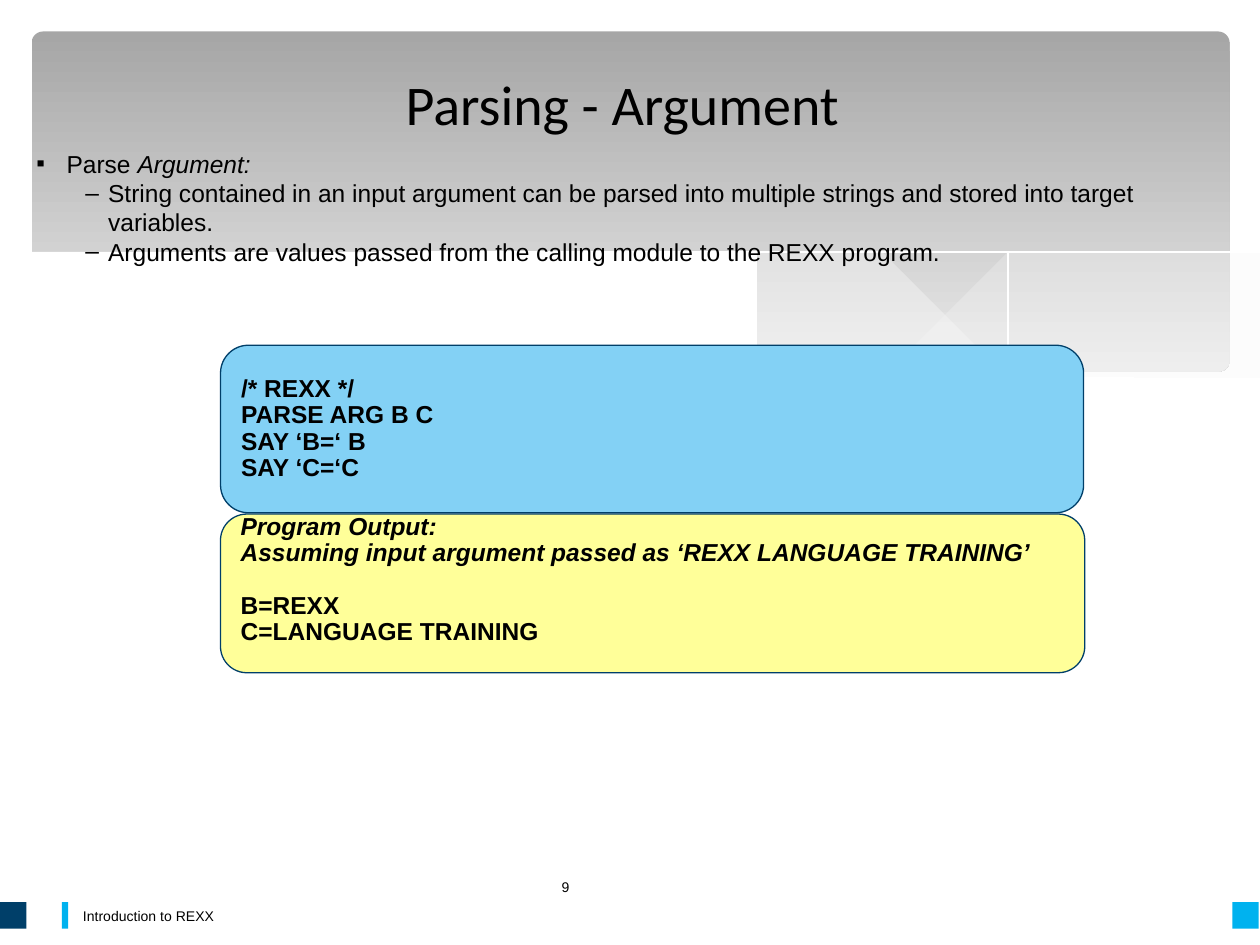
import pptx
import pptx.dml.color
import pptx.enum.shapes
import pptx.enum.text
import pptx.oxml.ns
import pptx.util
from dataclasses import dataclass
from lxml import etree

SHAPE = pptx.enum.shapes.MSO_SHAPE
ANCHOR = pptx.enum.text.MSO_ANCHOR
ALIGN = pptx.enum.text.PP_ALIGN
qn = pptx.oxml.ns.qn


@dataclass(frozen=True)
class Theme:
    ink: str = "000000"
    white: str = "FFFFFF"
    mist: str = "F8F8F8"
    band_top: str = "A6A6A6"
    band_bottom: str = "EBEBEB"
    navy: str = "003F69"
    cyan: str = "00B2EF"
    code: str = "83D1F5"
    output: str = "FFFF99"
    heading: str = "Calibri"
    body: str = "Arial"
    title_size: int = 32
    body_size: int = 14
    small_size: int = 8


THEME = Theme()
WIDTH, HEIGHT = 10, 7.5

TITLE = "Parsing - Argument"
FOOTER = "Introduction to REXX"
PAGE = "9"

# A paragraph is a list of (text, italic) runs.
TOPIC = [("Parse ", False), ("Argument:", True)]
POINTS = [
    [("String contained in an input argument can be parsed into multiple "
      "strings and stored into target variables.", False)],
    [("Arguments are values passed from the calling module to the REXX program.", False)],
]
CODE = [[(line, False)] for line in
        ("/* REXX */", "PARSE ARG B C", "SAY ‘B=‘ B", "SAY ‘C=‘C")]
OUTPUT_INTRO = [[("Program Output:", True)],
                [("Assuming input argument passed as ‘REXX LANGUAGE TRAINING’", True)]]
OUTPUT_LINES = [[("B=REXX", False)], [("C=LANGUAGE TRAINING", False)]]

# Each wave: smooth edges joined by straight sides, then its fill, opacity and line.
RIGHT_SWELL = [
    [(9.76, 2), (9.35, 2.07), (8.91, 2.16), (8.32, 2.3), (7.53, 2.48), (6.61, 2.65)],
    [(6.61, 2.65), (7.05, 2.71), (7.57, 2.76), (8.14, 2.78), (8.72, 2.74),
     (9.21, 2.65), (9.49, 2.57), (9.76, 2.47)],
]
LONG_SWELL = [
    [(8.93, 2.73), (8.37, 2.65), (7.75, 2.54), (7.06, 2.4), (6.29, 2.22), (5.69, 2.08),
     (5.14, 1.98), (4.64, 1.91), (4.2, 1.87), (3.61, 1.85), (3.13, 1.88), (2.86, 1.91)],
    [(2.86, 1.91), (3.42, 1.99), (4.04, 2.11), (4.91, 2.32), (5.66, 2.48), (6.34, 2.61),
     (6.95, 2.7), (7.48, 2.76), (8.07, 2.79), (8.57, 2.77), (8.93, 2.73)],
]
FALLING_LINE = [[(3.09, 1.95), (3.43, 1.9), (3.87, 1.87), (4.33, 1.87), (4.89, 1.9),
                 (5.56, 1.97), (6.36, 2.08), (7.27, 2.26), (8.31, 2.51), (9.07, 2.72)]]
RISING_LINE = [[(6.13, 2.57), (6.52, 2.46), (6.95, 2.35), (7.48, 2.23), (8.06, 2.1),
                (8.66, 1.99), (9.1, 1.92), (9.51, 1.87), (9.75, 1.85)]]
WHITE_FRONT = [
    [(9.77, 2.46), (9.4, 2.59), (8.99, 2.69), (8.5, 2.75), (8.09, 2.77), (7.61, 2.75),
     (7.08, 2.7), (6.47, 2.62), (5.79, 2.5), (5.03, 2.33), (4.18, 2.13), (3.65, 2.02),
     (3.15, 1.94), (2.71, 1.88), (2.3, 1.85), (1.93, 1.84), (1.61, 1.84), (1.19, 1.87),
     (0.85, 1.93), (0.52, 2.01), (0.23, 2.13)],
    [(0.23, 3.29), (9.77, 3.29)],
]
WAVES = [
    (RIGHT_SWELL, THEME.mist, 29, None),
    (LONG_SWELL, THEME.mist, 40, None),
    (FALLING_LINE, None, 100, THEME.white),
    (RISING_LINE, None, 100, THEME.white),
    (WHITE_FRONT, THEME.white, 100, None),
]

MARK_TOP, MARK_SIZE = 7.16, 0.21
MARKS = [(0, MARK_SIZE, THEME.navy), (9.78, MARK_SIZE, THEME.cyan), (0.49, 0.05, THEME.cyan)]


def rgb(value):
    return pptx.dml.color.RGBColor.from_string(value)


def inches(*values):
    return [pptx.util.Inches(value) for value in values]


def paint(shape, fill=None, line=None, line_width=0.0, opacity=100):
    shape.shadow.inherit = False
    if fill:
        shape.fill.solid()
        shape.fill.fore_color.rgb = rgb(fill)
        if opacity < 100:
            color = shape.fill._xPr.find(".//" + qn("a:srgbClr"))
            etree.SubElement(color, qn("a:alpha"), val=str(opacity * 1000))
    else:
        shape.fill.background()
    if line:
        shape.line.color.rgb = rgb(line)
        shape.line.width = pptx.util.Pt(line_width)
    else:
        shape.line.fill.background()


def smooth(knots, steps=5):
    """Catmull-Rom points through the knots; two knots stay a straight side."""
    if len(knots) == 2:
        return knots
    padded = [knots[0], *knots, knots[-1]]
    points = [knots[0]]
    for a, b, c, d in zip(padded, padded[1:], padded[2:], padded[3:]):
        for step in range(1, steps + 1):
            t = step / steps
            points.append(tuple(
                (2 * q + (r - p) * t + (2 * p - 5 * q + 4 * r - s) * t ** 2
                 + (3 * q - p - 3 * r + s) * t ** 3) / 2
                for p, q, r, s in zip(a, b, c, d)))
    return points


def add_wave(slide, edges, fill, opacity, line):
    points = [point for edge in edges for point in smooth(edge)]
    builder = slide.shapes.build_freeform(*points[0], scale=pptx.util.Inches(1))
    builder.add_line_segments(points[1:], close=fill is not None)
    paint(builder.convert_to_shape(), fill, line, opacity=opacity)


def write(frame, paragraphs, size=THEME.body_size, font=THEME.body, bold=False,
          align=ALIGN.LEFT, anchor=ANCHOR.MIDDLE, spacing=None, gap=0,
          level=0, bullet=None, indent=(0, 0), append=False):
    """Fill a frame; gap is the space before the first paragraph written."""
    frame.word_wrap = True
    frame.vertical_anchor = anchor
    for index, runs in enumerate(paragraphs):
        paragraph = frame.add_paragraph() if append or index else frame.paragraphs[0]
        paragraph.alignment = align
        paragraph.level = level
        paragraph.space_before = pptx.util.Pt(0 if index else gap)
        if spacing:
            paragraph.line_spacing = spacing
        if bullet:
            properties = paragraph._p.get_or_add_pPr()
            left, hanging = inches(*indent)
            properties.set("marL", str(left))
            properties.set("indent", str(hanging))
            color = etree.SubElement(properties, qn("a:buClr"))
            etree.SubElement(color, qn("a:srgbClr"), val=THEME.ink)
            etree.SubElement(properties, qn("a:buFont"), typeface=THEME.body)
            etree.SubElement(properties, qn("a:buChar"), char=bullet)
        for text, italic in runs:
            run = paragraph.add_run()
            run.text = text
            run.font.name, run.font.size = font, pptx.util.Pt(size)
            run.font.bold, run.font.italic = bold, italic
            run.font.color.rgb = rgb(THEME.ink)


def add_panel(slide, top, width, height, fill):
    panel = slide.shapes.add_shape(SHAPE.FLOWCHART_ALTERNATE_PROCESS,
                                   *inches(1.75, top, width, height))
    paint(panel, fill, THEME.navy, 0.75)
    return panel.text_frame


def add_backdrop(slide):
    band = slide.shapes.add_shape(SHAPE.ROUNDED_RECTANGLE, *inches(0.25, 0.25, 9.51, 2.7))
    band.adjustments[0] = 0.034
    paint(band)
    band.fill.gradient()
    band.fill.gradient_angle = 270
    for stop, position, color in zip(band.fill.gradient_stops, (0, 1),
                                     (THEME.band_top, THEME.band_bottom)):
        stop.position, stop.color.rgb = position, rgb(color)
    for wave in WAVES:
        add_wave(slide, *wave)
    for left, width, color in MARKS:
        mark = slide.shapes.add_shape(SHAPE.RECTANGLE, *inches(left, MARK_TOP, width, MARK_SIZE))
        paint(mark, color)


def main():
    deck = pptx.Presentation()
    deck.slide_width, deck.slide_height = inches(WIDTH, HEIGHT)
    slide = deck.slides.add_slide(deck.slide_layouts[5])
    add_backdrop(slide)

    for label, place in ((FOOTER, (0.56, 7.14, 7.79, 0.26)), (PAGE, (4.36, 6.84, 1.27, 0.4))):
        box = slide.shapes.add_textbox(*inches(*place))
        write(box.text_frame, [[(label, False)]], size=THEME.small_size)

    title = slide.shapes.title
    title.left, title.top, title.width, title.height = inches(0.44, 0.13, 9, 1.37)
    write(title.text_frame, [[(TITLE, False)]], size=THEME.title_size,
          font=THEME.heading, align=ALIGN.CENTER)
    slide.shapes._spTree.append(title._element)  # bring in front of the backdrop

    body = slide.shapes.add_textbox(*inches(0.19, 1.13, 9.5, 3.23)).text_frame
    write(body, [TOPIC], anchor=ANCHOR.TOP, bullet="▪", indent=(0.24, -0.24))
    write(body, POINTS, anchor=ANCHOR.TOP, bullet="–", indent=(0.57, -0.18),
          level=1, append=True)

    write(add_panel(slide, 2.74, 6.85, 1.33, THEME.code), CODE, bold=True, spacing=0.9)

    output = add_panel(slide, 4.08, 6.86, 1.26, THEME.output)
    output.margin_top, output.margin_bottom = inches(0, 0.21)
    write(output, OUTPUT_INTRO, bold=True, spacing=0.9)
    write(output, OUTPUT_LINES, bold=True, spacing=0.9, gap=15, append=True)

    deck.save("out.pptx")


if __name__ == "__main__":
    main()
